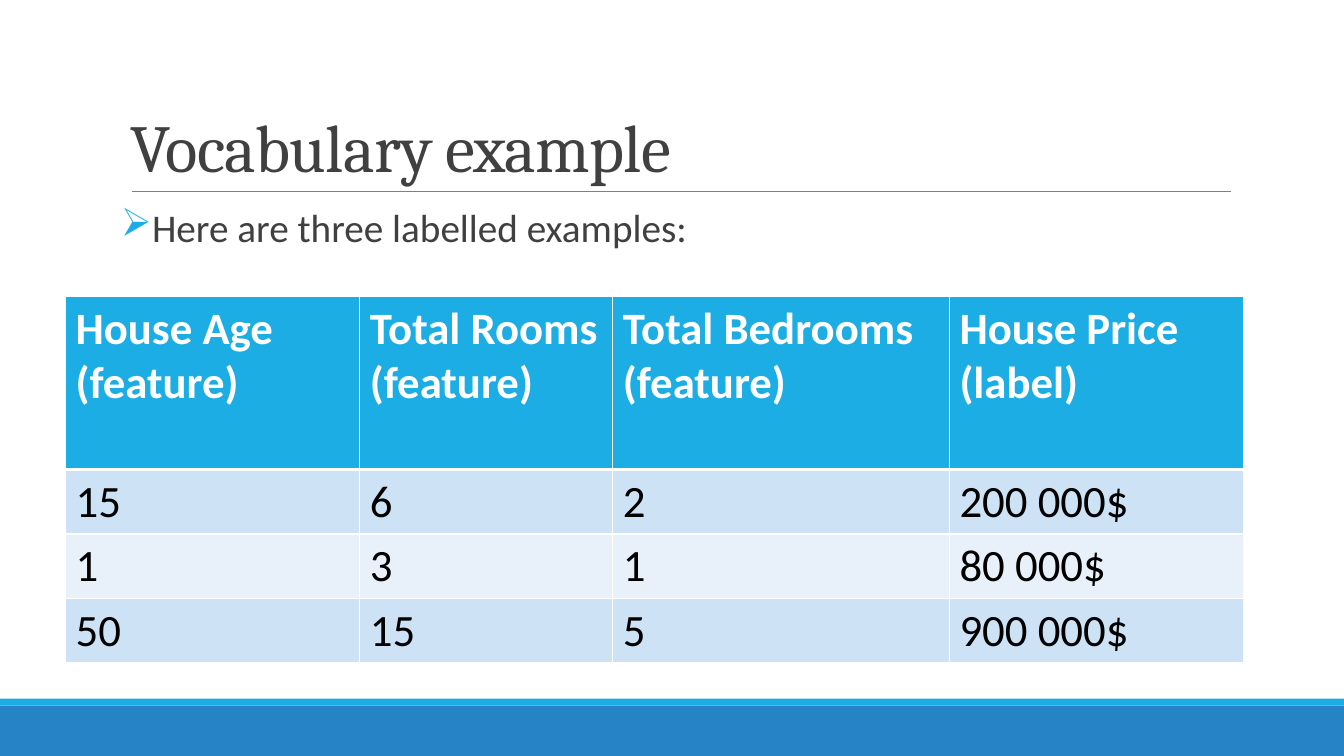
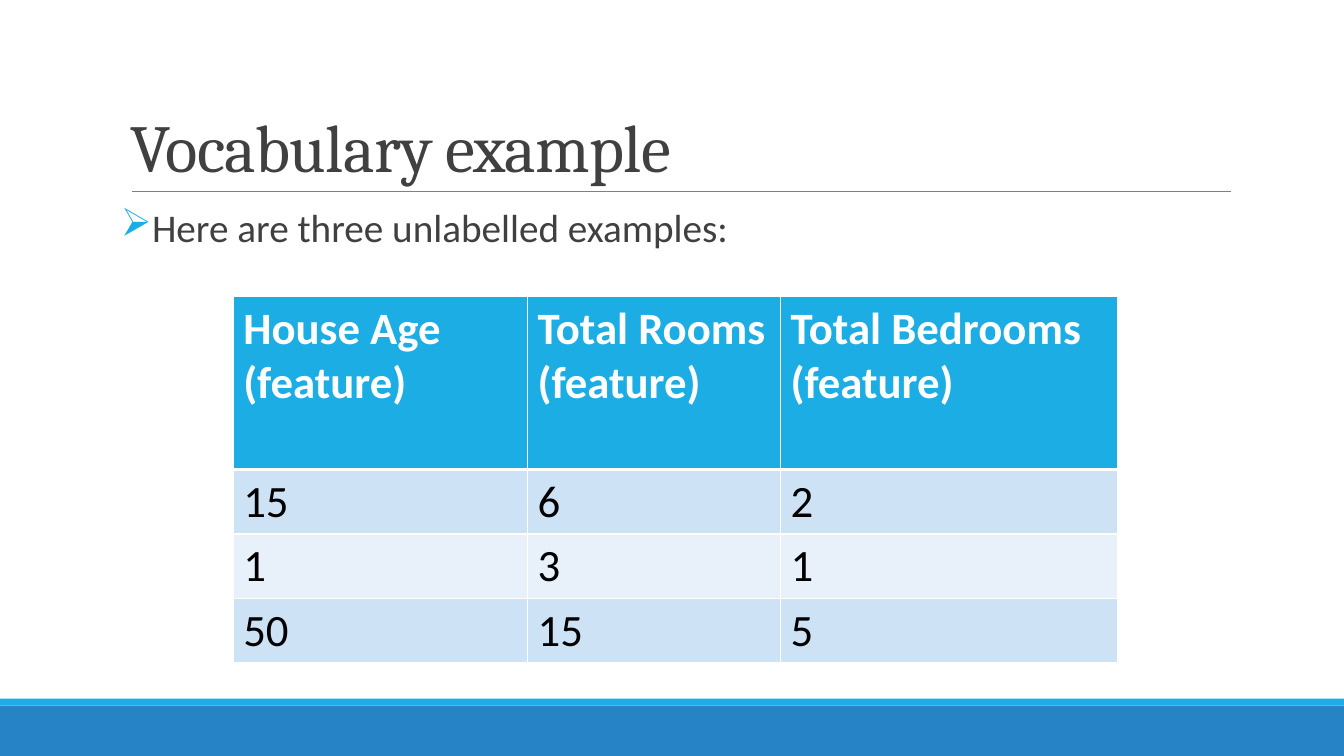
from dataclasses import dataclass

from lxml import etree
from pptx import Presentation
from pptx import util as u
from pptx.dml import color
from pptx.enum import shapes, text
from pptx.oxml import ns


@dataclass(frozen=True)
class Theme:
    width: float = 960
    height: float = 540
    accent: str = "1CADE4"
    band: str = "2683C6"
    rule: str = "808080"
    ink: str = "404040"
    black: str = "000000"
    white: str = "FFFFFF"
    stripes: tuple = ("CDE3F5", "E8F1FA")
    head_font: str = "Cambria"
    body_font: str = "Calibri"
    title_size: float = 48
    body_size: float = 28
    cell_size: float = 32


T = Theme()


def rgb(value):
    return color.RGBColor.from_string(value)


def sub(parent, tag, **attrs):
    return etree.SubElement(parent, ns.qn(tag), {k: str(v) for k, v in attrs.items()})


def write(tf, content, size, font=T.body_font, ink=T.ink, bold=False,
          line=None, before=None, after=None, tracking=None):
    for i, row in enumerate(content.split("\n")):
        p = tf.paragraphs[0] if i == 0 else tf.add_paragraph()
        if line is not None:
            p.line_spacing = line
        if before is not None:
            p.space_before = u.Pt(before)
        if after is not None:
            p.space_after = u.Pt(after)
        r = p.add_run()
        r.text = row
        r.font.size = u.Pt(size)
        r.font.name = font
        r.font.bold = bold
        r.font.color.rgb = rgb(ink)
        if tracking is not None:
            r.font._element.set("spc", str(round(tracking * 100)))


class Deck:
    def __init__(self):
        self.prs = Presentation()
        self.prs.slide_width = u.Pt(T.width)
        self.prs.slide_height = u.Pt(T.height)
        self.s = None

    def slide(self, title):
        self.s = self.prs.slides.add_slide(self.prs.slide_layouts[6])
        self.bar(504, 36, T.band)
        self.bar(499, 5, T.accent)
        self.rule(94.3, 879, 136.8)
        tf = self.box(86.4, 22.3, 792, 114.5)
        tf.vertical_anchor = text.MSO_ANCHOR.BOTTOM
        write(tf, title, T.title_size, font=T.head_font, line=0.85, tracking=-0.5)

    def bar(self, top, height, fill):
        sp = self.s.shapes.add_shape(shapes.MSO_SHAPE.RECTANGLE, 0, u.Pt(top),
                                     u.Pt(T.width), u.Pt(height))
        sp.shadow.inherit = False
        sp.fill.solid()
        sp.fill.fore_color.rgb = rgb(fill)
        sp.line.fill.background()

    def rule(self, left, right, y):
        sp = self.s.shapes.add_connector(shapes.MSO_CONNECTOR.STRAIGHT, u.Pt(left),
                                         u.Pt(y), u.Pt(right), u.Pt(y))
        sp.line.color.rgb = rgb(T.rule)
        sp.line.width = u.Pt(0.5)
        sub(sp._element.spPr, "a:effectLst")

    def box(self, left, top, width, height):
        sp = self.s.shapes.add_textbox(u.Pt(left), u.Pt(top), u.Pt(width), u.Pt(height))
        sp.text_frame.word_wrap = True
        return sp.text_frame

    def bullet(self, content):
        tf = self.box(86.4, 145.4, 792, 316.8)
        tf.margin_left = tf.margin_right = 0
        write(tf, content, T.body_size, line=0.9, before=12, after=2)
        for p in tf.paragraphs:
            pr = p._p.get_or_add_pPr()
            pr.set("marL", str(u.Pt(7.2)))
            pr.set("indent", str(-u.Pt(7.2)))
            sub(sub(pr, "a:buClr"), "a:srgbClr", val=T.accent)
            sub(pr, "a:buChar", char="➢")

    def table(self, left, widths, rows, head_height=123.6, row_height=46.1):
        heights = [head_height] + [row_height] * (len(rows) - 1)
        frame = self.s.shapes.add_table(len(rows), len(widths), u.Pt(left), u.Pt(211.7),
                                        u.Pt(sum(widths)), u.Pt(sum(heights)))
        tbl = frame.table
        for col, width in zip(tbl.columns, widths):
            col.width = u.Pt(width)
        for i, (height, row) in enumerate(zip(heights, rows)):
            tbl.rows[i].height = u.Pt(height)
            for j, content in enumerate(row):
                self.cell(tbl.cell(i, j), content, i)

    def cell(self, cell, content, row):
        head = row == 0
        pr = cell._tc.get_or_add_tcPr()
        thick = {"a:lnB": 3} if head else {"a:lnT": 3} if row == 1 else {}
        for side in ("a:lnL", "a:lnR", "a:lnT", "a:lnB"):
            ln = sub(pr, side, w=u.Pt(thick.get(side, 1)))
            sub(sub(ln, "a:solidFill"), "a:srgbClr", val=T.white)
        cell.fill.solid()
        cell.fill.fore_color.rgb = rgb(T.accent if head else T.stripes[(row - 1) % 2])
        write(cell.text_frame, content, T.cell_size,
              ink=T.white if head else T.black, bold=head)


WIDTHS = [210.24, 180.72, 240.48, 210.24]
HOUSES = [
    ["House Age\n(feature)", "Total Rooms\n(feature)", "Total Bedrooms\n(feature)",
     "House Price\n(label)"],
    ["15", "6", "2", "200 000$"],
    ["1", "3", "1", "80 000$"],
    ["50", "15", "5", "900 000$"],
]


def main():
    deck = Deck()
    for kind, left, count in (("labelled", 46.8, 4), ("unlabelled", 166.6, 3)):
        deck.slide("Vocabulary example")
        deck.bullet(f"Here are three {kind} examples:")
        deck.table(left, WIDTHS[:count], [row[:count] for row in HOUSES])
    deck.prs.save("out.pptx")


if __name__ == "__main__":
    main()
